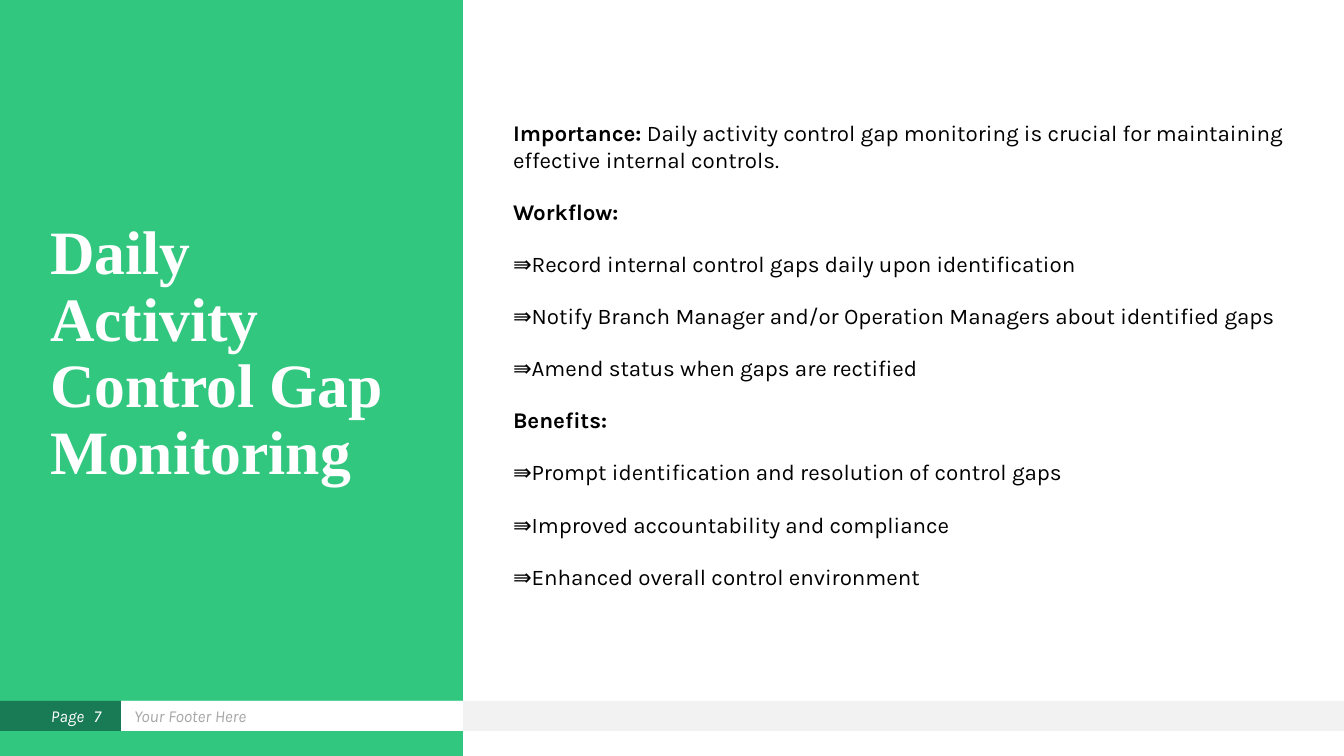
"""Build the Daily Activity Control Gap Monitoring slide."""
from dataclasses import dataclass

from pptx import Presentation
from pptx.dml.color import RGBColor as RGB
from pptx.enum.shapes import MSO_SHAPE as SHAPE
from pptx.enum.text import MSO_ANCHOR as ANCHOR, MSO_AUTO_SIZE as FIT, PP_ALIGN as ALIGN
from pptx.oxml.xmlchemy import OxmlElement
from pptx.util import Pt

PX = 914400 / 100.8


@dataclass
class Theme:
    green: str = "32C77F"
    dark_green: str = "197A56"
    white: str = "FFFFFF"
    light_gray: str = "F2F2F2"
    gray: str = "A6A6A6"
    black: str = "000000"
    heading_font: str = "Times New Roman"
    body_font: str = "Karla"
    title_size: int = 44
    body_size: int = 16
    footer_size: int = 12


def emu(*lengths):
    return [round(n * PX) for n in lengths]


def add_run(p, text, font, size, color, bold=False, italic=False):
    r = p.add_run()
    r.text = text
    r.font.name, r.font.size = font, Pt(size)
    r.font.bold, r.font.italic = bold, italic
    r.font.color.rgb = RGB.from_string(color)


theme = Theme()
prs = Presentation()
prs.slide_width, prs.slide_height = emu(1344, 756)
slide = prs.slides.add_slide(prs.slide_layouts[1])
title, body = slide.shapes.title, slide.placeholders[1]

panels = [
    (0, 0, 463, 756, theme.green),
    (121, 701, 1223, 30, theme.light_gray),
    (121, 701, 342, 30, theme.white),
    (0, 701, 121, 30, theme.dark_green),
]
for *box, color in panels:
    sp = slide.shapes.add_shape(SHAPE.RECTANGLE, *emu(*box))
    sp.shadow.inherit = False
    sp.fill.solid()
    sp.fill.fore_color.rgb = RGB.from_string(color)
    sp.line.fill.background()

footer = [
    (134, 706, 323, 20, "Your Footer Here", theme.gray, True),
    (94, 705, 22, 22, "7", theme.white, True),
    (51, 706, 45, 20, "Page", theme.white, False),
]
for *box, text, color, wrap in footer:
    tf = slide.shapes.add_textbox(*emu(*box)).text_frame
    tf.margin_left = tf.margin_top = tf.margin_right = tf.margin_bottom = 0
    tf.vertical_anchor = ANCHOR.MIDDLE
    tf.word_wrap = wrap
    add_run(tf.paragraphs[0], text, theme.body_font, theme.footer_size, color, italic=True)

for sp, box in ((title, (50, 304, 351, 101)), (body, (513, 117, 781, 475))):
    sp.left, sp.top, sp.width, sp.height = emu(*box)
    slide.shapes._spTree.append(sp._element)
    tf = sp.text_frame
    tf.margin_left = tf.margin_top = tf.margin_right = tf.margin_bottom = 0
    tf.vertical_anchor = ANCHOR.MIDDLE
    tf.auto_size = FIT.NONE
    tf.word_wrap = True

p = title.text_frame.paragraphs[0]
p.alignment = ALIGN.LEFT
p.line_spacing = 0.9
add_run(p, "Daily Activity Control Gap Monitoring", theme.heading_font,
        theme.title_size, theme.white, bold=True)

content = [
    [("Importance:", True),
     (" Daily activity control gap monitoring is crucial for maintaining "
      "effective internal controls.", False)],
    [("Workflow:", True)],
    [("⇛Record internal control gaps daily upon identification", False)],
    [("⇛Notify Branch Manager and/or Operation Managers about identified gaps", False)],
    [("⇛Amend status when gaps are rectified", False)],
    [("Benefits:", True)],
    [("⇛Prompt identification and resolution of control gaps", False)],
    [("⇛Improved accountability and compliance", False)],
    [("⇛Enhanced overall control environment", False)],
]
tf = body.text_frame
for i, runs in enumerate(content):
    p = tf.add_paragraph() if i else tf.paragraphs[0]
    p.alignment = ALIGN.LEFT
    p.space_before = Pt(18)
    pPr = p._p.get_or_add_pPr()
    pPr.set("marL", "0")
    pPr.set("indent", "0")
    pPr.append(OxmlElement("a:buNone"))
    for text, bold in runs:
        add_run(p, text, theme.body_font, theme.body_size, theme.black, bold=bold)

prs.save("out.pptx")
